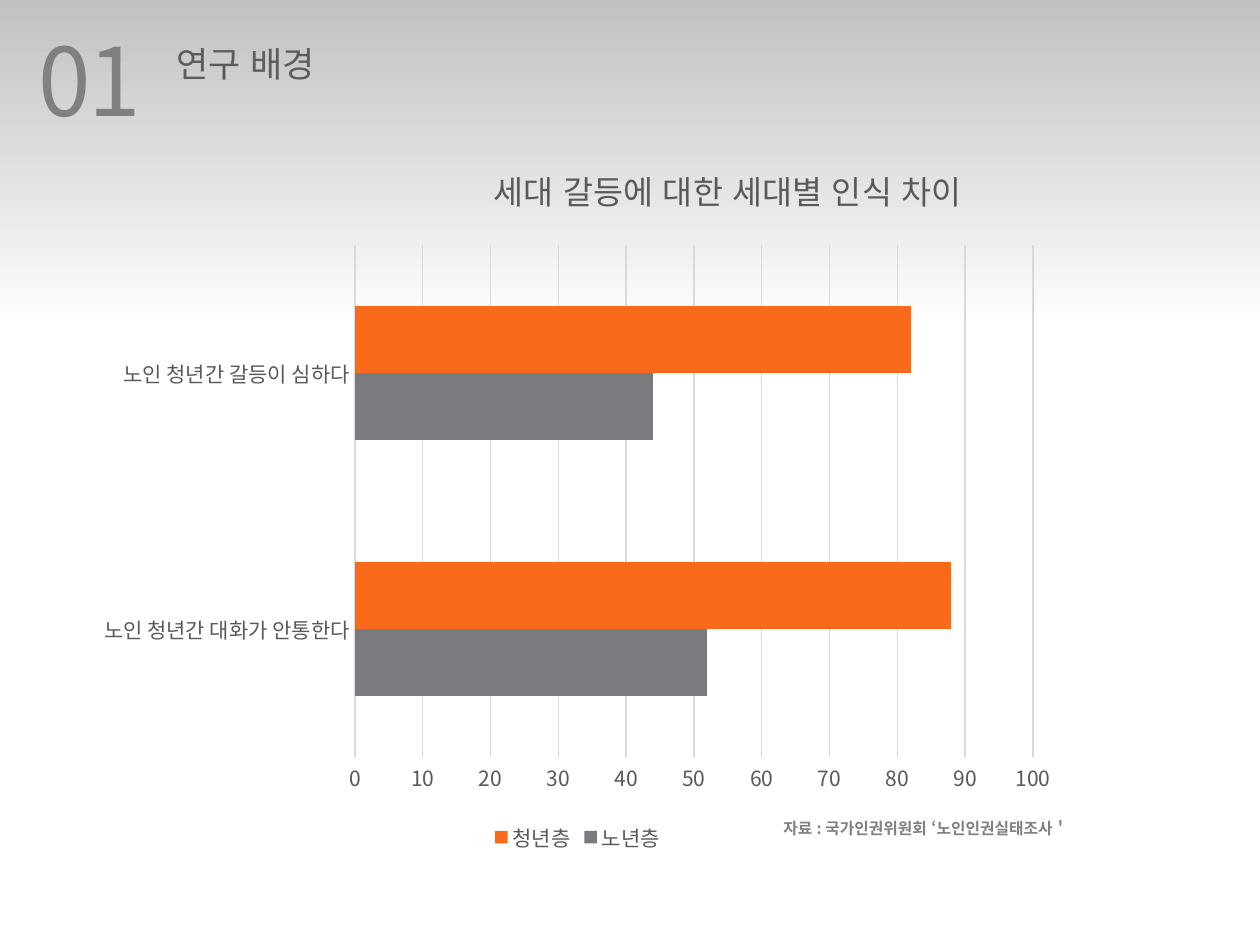
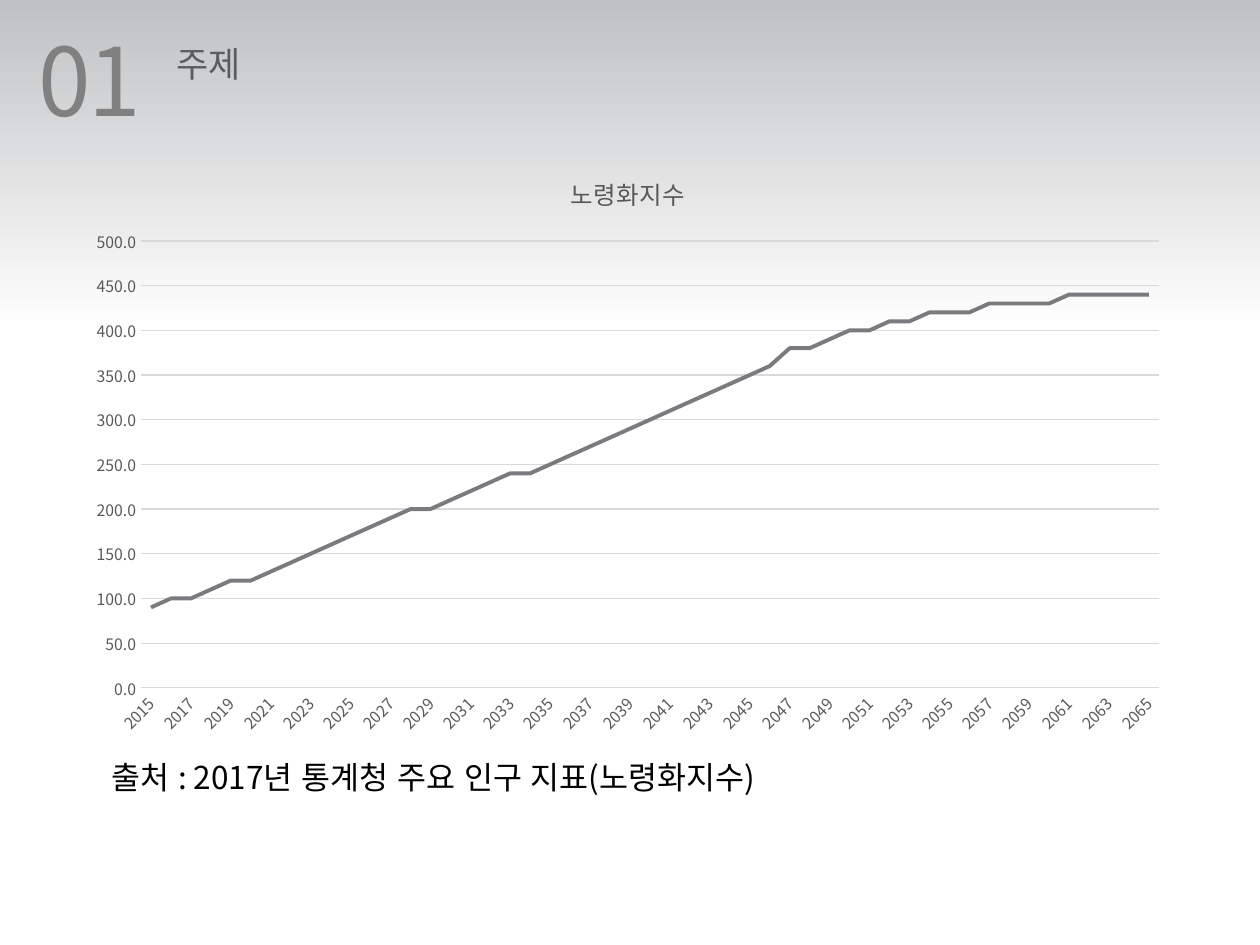
import pptx
import pptx.util
import pptx.chart.data
import pptx.dml.color
import pptx.enum.chart
import pptx.enum.lang
import pptx.enum.text
import pptx.oxml
import pptx.oxml.ns

PX_PER_INCH = 126
SLIDE_W, SLIDE_H = 1260, 945
FONT = "Noto Sans CJK KR"
COLORS = {
    "band": "C0C1C2",
    "white": "FFFFFF",
    "number": "808080",
    "heading": "5B5C5E",
    "label": "595959",
    "grid": "D9D9D9",
    "gray": "797B7E",
    "orange": "F96A1B",
    "black": "000000",
}
AGING_INDEX = [
    90, 100, 100, 110, 120, 120, 130, 140, 150, 160,
    170, 180, 190, 200, 200, 210, 220, 230, 240, 240,
    250, 260, 270, 280, 290, 300, 310, 320, 330, 340,
    350, 360, 380, 380, 390, 400, 400, 410, 410, 420,
    420, 420, 430, 430, 430, 430, 440, 440, 440, 440, 440,
]


def px(n):
    return pptx.util.Emu(round(n * 914400 / PX_PER_INCH))


def rgb(name):
    return pptx.dml.color.RGBColor.from_string(COLORS[name])


def style_font(font, size, color, bold=False):
    font.name = FONT
    font.size = pptx.util.Pt(size)
    font.bold = bold
    font.color.rgb = rgb(color)


def set_korean(r):
    """Mark the run as Korean and use one typeface for all its letters."""
    r.font.language_id = pptx.enum.lang.MSO_LANGUAGE_ID.KOREAN
    ea = r._r.get_or_add_rPr().makeelement(pptx.oxml.ns.qn("a:ea"), {"typeface": FONT})
    r._r.rPr.find(pptx.oxml.ns.qn("a:latin")).addnext(ea)


def add_text(s, box, text, size, color, bold=False, spacing=None):
    tf = s.shapes.add_textbox(*map(px, box)).text_frame
    tf.word_wrap = True
    tf.auto_size = pptx.enum.text.MSO_AUTO_SIZE.SHAPE_TO_FIT_TEXT
    tf.text = text
    r = tf.paragraphs[0].runs[0]
    style_font(r.font, size, color, bold)
    set_korean(r)
    if spacing is not None:
        r._r.rPr.set("spc", str(round(spacing * 100)))


def add_section_slide(prs, heading):
    """Add a slide with the gray fade, section number and heading."""
    s = prs.slides.add_slide(prs.slide_layouts[6])
    fill = s.background.fill
    fill.gradient()
    fill.gradient_angle = 270
    for stop, position, color in zip(fill.gradient_stops, (0, 0.35), ("band", "white")):
        stop.position = position
        stop.color.rgb = rgb(color)
    add_text(s, (26, 16, 357, 127), "01", 54, "number", spacing=-1.5)
    add_text(s, (164, 36, 635, 55), heading, 20, "heading")
    return s


def place(parent, index, chart_box, left, top, width=None, height=None):
    """Fix a chart part at slide px, as shares of the chart box."""
    x, y, w, h = chart_box
    shares = {"x": (left - x) / w, "y": (top - y) / h}
    target = ""
    if width:
        shares.update(w=width / w, h=height / h)
        target = '<c:layoutTarget val="inner"/>'
    modes = '<c:xMode val="edge"/><c:yMode val="edge"/>'
    values = "".join(f'<c:{k} val="{v:.4f}"/>' for k, v in shares.items())
    for old in parent.findall(pptx.oxml.ns.qn("c:layout")):
        parent.remove(old)
    parent.insert(index, pptx.oxml.parse_xml(
        f'<c:layout {pptx.oxml.ns.nsdecls("c")}><c:manualLayout>'
        f"{target}{modes}{values}</c:manualLayout></c:layout>"))


def add_chart(s, kind, box, plot, cats, series, title, title_size, label_size):
    data = pptx.chart.data.CategoryChartData()
    data.categories = cats
    for name, values in series:
        data.add_series(name, values)
    chart = s.shapes.add_chart(kind, *map(px, box), data).chart
    style_font(chart.font, 10, "black")
    chart.has_legend = False
    chart.has_title = True
    tf = chart.chart_title.text_frame
    tf.text = title
    r = tf.paragraphs[0].runs[0]
    style_font(r.font, title_size, "label")
    set_korean(r)
    chart.chart_title.include_in_layout = False
    chart.plots[0].vary_by_categories = False
    for axis in (chart.category_axis, chart.value_axis):
        axis.major_tick_mark = pptx.enum.chart.XL_TICK_MARK.NONE
        axis.minor_tick_mark = pptx.enum.chart.XL_TICK_MARK.NONE
        style_font(axis.tick_labels.font, label_size, "label")
    chart.category_axis.has_major_gridlines = False
    chart.value_axis.has_major_gridlines = True
    chart.value_axis.format.line.fill.background()
    for line in (chart.category_axis.format.line,
                 chart.value_axis.major_gridlines.format.line):
        line.color.rgb = rgb("grid")
        line.width = pptx.util.Pt(0.75)
    place(chart._chartSpace.chart.plotArea, 0, box, *plot)
    return chart


def scale_values(axis, top, unit, number_format):
    axis.minimum_scale = 0
    axis.maximum_scale = top
    axis.major_unit = unit
    axis.tick_labels.number_format = number_format
    axis.tick_labels.number_format_is_linked = False


def slant_labels(axis, skip):
    """Turn the labels by 45 degrees and show every skip-th one."""
    ax = axis._element
    ax.txPr.bodyPr.set("rot", "-2700000")
    tag = pptx.oxml.ns.qn("c:tickLblSkip")
    ax.find(pptx.oxml.ns.qn("c:noMultiLvlLbl")).addprevious(
        ax.makeelement(tag, {"val": str(skip)}))


def add_perception_chart(s):
    box = (84, 144, 987, 714)
    chart = add_chart(
        s, pptx.enum.chart.XL_CHART_TYPE.BAR_CLUSTERED, box, (355, 245, 678, 512),
        ["노인 청년간 대화가 안통한다", "노인 청년간 갈등이 심하다"],
        [("노년층", (52, 44)), ("청년층", (88, 82))],
        "세대 갈등에 대한 세대별 인식 차이", 18.6, 12)
    place(chart.chart_title._element, 1, box, 488, 157)
    scale_values(chart.value_axis, 100, 10, "General")
    chart.plots[0].gap_width = 182
    for series, color in zip(chart.plots[0].series, ("gray", "orange")):
        series.format.fill.solid()
        series.format.fill.fore_color.rgb = rgb(color)
    chart.has_legend = True
    chart.legend.position = pptx.enum.chart.XL_LEGEND_POSITION.BOTTOM
    chart.legend.include_in_layout = False
    style_font(chart.legend.font, 12, "label")


def add_aging_chart(s):
    years = [str(2015 + i) for i in range(len(AGING_INDEX))]
    chart = add_chart(
        s, pptx.enum.chart.XL_CHART_TYPE.LINE, (74, 150, 1108, 595),
        (141, 241, 1018, 447), years, [("노령화지수", AGING_INDEX)],
        "노령화지수", 14, 9)
    scale_values(chart.value_axis, 500, 50, "#,##0.0")
    slant_labels(chart.category_axis, 2)
    series = chart.plots[0].series[0]
    series.smooth = False
    series.marker.style = pptx.enum.chart.XL_MARKER_STYLE.NONE
    series.format.line.color.rgb = rgb("gray")
    series.format.line.width = pptx.util.Pt(2.25)


def main():
    prs = pptx.Presentation()
    prs.slide_width, prs.slide_height = px(SLIDE_W), px(SLIDE_H)

    s = add_section_slide(prs, "연구 배경")
    add_text(s, (771, 813, SLIDE_W - 771, 40),
             "자료 : 국가인권위원회 ‘노인인권실태조사＇", 9, "number", bold=True)
    add_perception_chart(s)

    s = add_section_slide(prs, "주제")
    add_text(s, (99, 752, 863, 51),
             "출처 : 2017년 통계청 주요 인구 지표(노령화지수)", 18, "black")
    add_aging_chart(s)

    prs.save("out.pptx")


if __name__ == "__main__":
    main()
